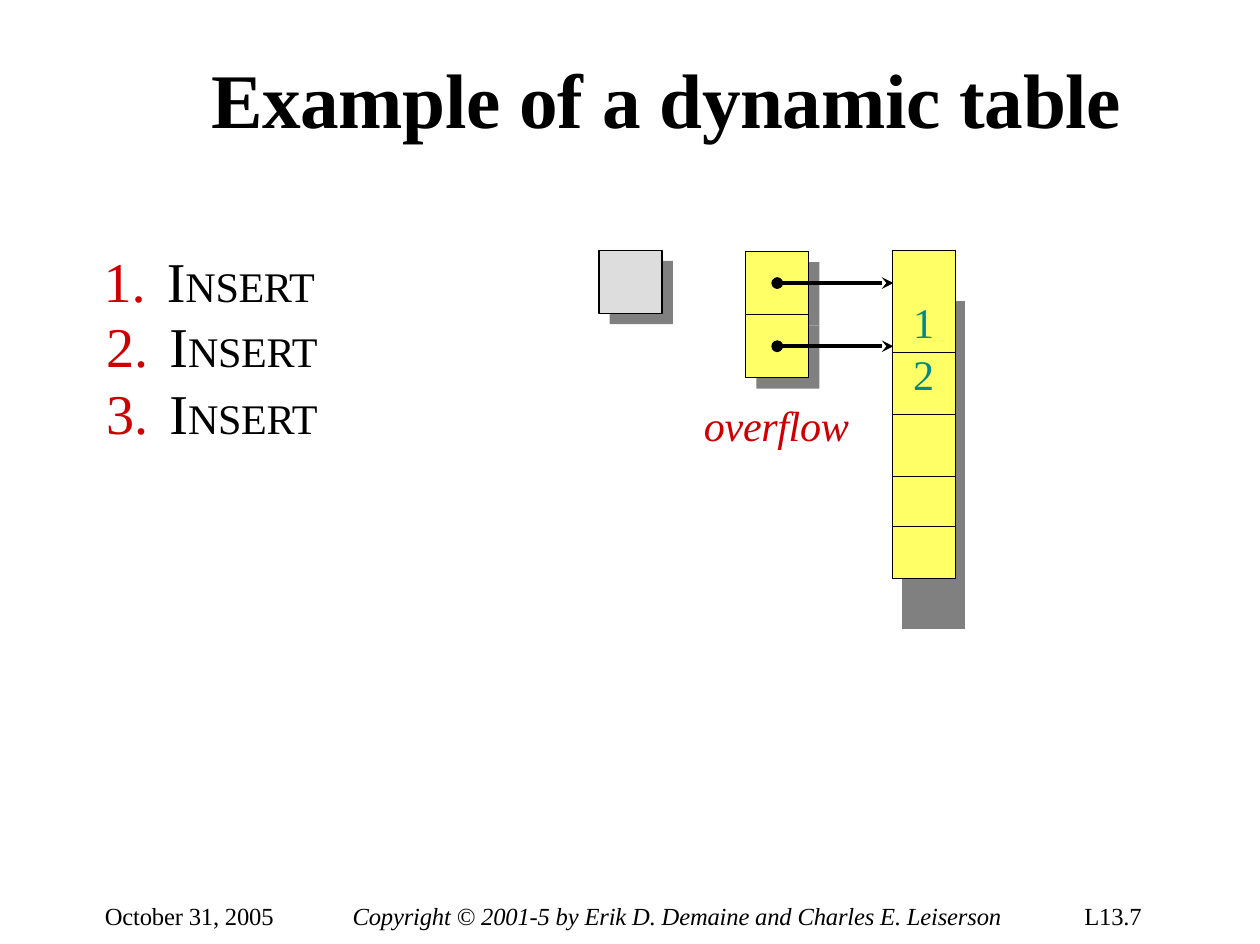
from dataclasses import dataclass

from lxml.etree import SubElement
from pptx import Presentation
from pptx.dml.color import RGBColor as Color
from pptx.enum.shapes import MSO_CONNECTOR as Connector, MSO_SHAPE as Shape
from pptx.oxml.ns import qn
from pptx.util import Inches, Pt


@dataclass(frozen=True)
class Theme:
    font: str = "Times New Roman"
    ink: Color = Color.from_string("000000")
    red: Color = Color.from_string("CC0000")
    teal: Color = Color.from_string("008A87")
    yellow: Color = Color.from_string("FFFF66")
    pale: Color = Color.from_string("DDDDDD")
    shadow: Color = Color.from_string("808080")
    title: int = 44
    capital: int = 32
    body: int = 24
    footer: int = 14
    border: float = 0.75
    arrow: float = 2.25


theme = Theme()


def slots(count):
    """Length of a number of table slots, the half-inch grid of the slide."""
    return Inches(0.5 * count)


def style_run(run, size, color=theme.ink, bold=False, italic=False, spacing=0):
    run.font.name, run.font.size = theme.font, Pt(size)
    run.font.bold, run.font.italic = bold, italic
    run.font.color.rgb = color
    run.font._element.set("spc", str(spacing))


presentation = Presentation()
presentation.slide_width, presentation.slide_height = slots(19.94), slots(14.94)
slide = presentation.slides.add_slide(presentation.slide_layouts[6])

# Single-line texts: title, caption and footer
caption = dict(size=theme.body, color=theme.red, italic=True, spacing=-20)
footer = dict(size=theme.footer, spacing=-10)
footer_top = 14.26
lines = [
    ("Example of a dynamic table", 3.34, 0.82, 14.56, 1.48,
     dict(size=theme.title, bold=True, spacing=-20)),
    ("overflow", 11.14, 6.32, 2.36, 0.82, caption),
    ("October 31, 2005", 1.66, footer_top, 2.74, 0.5, footer),
    ("Copyright © 2001-5 by Erik D. Demaine and Charles E. Leiserson",
     5.58, footer_top, 10.48, 0.5, dict(footer, italic=True)),
    ("L13.7", 17.16, footer_top, 1.18, 0.5, footer),
]
boxes = []
for text, *place, style in lines:
    box = slide.shapes.add_textbox(*map(slots, place))
    box.text_frame.text = text
    style_run(box.text_frame.paragraphs[0].runs[0], **style)
    boxes.append(box)

# Numbered list of operations
operations = slide.shapes.add_textbox(*map(slots, (1.62, 3.92, 3.5, 3.16)))
boxes.append(operations)
for index, (indent, pitch) in enumerate([(1.02, 37.8), (1.06, 37.1), (1.06, 37.8)]):
    frame = operations.text_frame
    paragraph = frame.add_paragraph() if index else frame.paragraphs[0]
    properties = paragraph._p.get_or_add_pPr()
    properties.set("marL", str(slots(indent)))
    properties.set("indent", str(-slots(1)))
    bullet_color = SubElement(properties, qn("a:buClr"))
    SubElement(bullet_color, qn("a:srgbClr"), val=str(theme.red))
    SubElement(properties, qn("a:buAutoNum"), type="arabicPeriod")
    paragraph.line_spacing = Pt(pitch)
    for text, size in [("I", theme.capital), ("NSERT", theme.body)]:
        run = paragraph.add_run()
        run.text = text
        style_run(run, size, spacing=-20)

for box in boxes:
    frame = box.text_frame
    frame.word_wrap = True
    frame.margin_left = frame.margin_right = frame.margin_top = frame.margin_bottom = 0

# Old tables: single slots with an offset shadow
shadow_offset = 0.17
column, first_row = 11.8, 3.98
for left, top, color in [(9.48, 3.96, theme.pale), (column, first_row, theme.yellow),
                         (column, first_row + 1, theme.yellow)]:
    for offset, fill in [(shadow_offset, theme.shadow), (0, color)]:
        square = slide.shapes.add_shape(
            Shape.RECTANGLE, slots(left + offset), slots(top + offset), slots(1), slots(1))
        square.shadow.inherit = False
        square.fill.solid()
        square.fill.fore_color.rgb = fill
        if offset:
            square.line.fill.background()
        else:
            square.line.color.rgb = theme.ink
            square.line.width = Pt(theme.border)

# Arrows that move each item to the new table
for row in range(2):
    middle = slots(first_row + row + 0.5)
    arrow = slide.shapes.add_connector(
        Connector.STRAIGHT, slots(column + 0.5), middle, slots(14.14), middle)
    arrow.line.color.rgb = theme.ink
    arrow.line.width = Pt(theme.arrow)
    line = arrow.line._get_or_add_ln()
    SubElement(line, qn("a:headEnd"), type="oval", w="med", len="med")
    SubElement(line, qn("a:tailEnd"), type="stealth", w="med", len="med")
    SubElement(arrow._element.spPr, qn("a:effectLst"))

# New table: two yellow columns, with the shadow in the last column and row
widths = [0.16, 0.84, 0.16]
heights = [0.8, 0.82, 0.98, 0.98, 0.8, 0.82, 0.8]
items = {1: "1", 2: "2"}
slot_tops, slot_bottoms = {0, 2, 3, 4}, {1, 2, 3, 5}
last_row = len(heights) - 1
graphic = slide.shapes.add_table(
    len(heights), len(widths), slots(14.12), slots(3.96), slots(sum(widths)), slots(sum(heights)))
table = graphic.table
table.first_row = table.horz_banding = False
no_style = "{2D5ABB26-0587-4C30-8999-92F81FD0307C}"
table._tbl.tblPr.find(qn("a:tableStyleId")).text = no_style
for table_column, width in zip(table.columns, widths):
    table_column.width = slots(width)

for row, height in enumerate(heights):
    table.rows[row].height = slots(height)
    for col in range(len(widths)):
        cell = table.cell(row, col)
        cell.margin_left = cell.margin_right = cell.margin_top = cell.margin_bottom = 0
        body = col < 2 and row < last_row
        sides = {
            "lnL": body and col == 0,
            "lnR": body and col == 1,
            "lnT": col < 2 and (row in slot_tops or row == last_row),
            "lnB": body and row in slot_bottoms,
        }
        for side, drawn in sides.items():
            if drawn:
                edge = SubElement(cell._tc.get_or_add_tcPr(), qn(f"a:{side}"),
                                  w=str(Pt(theme.border)))
                paint = SubElement(edge, qn("a:solidFill"))
                SubElement(paint, qn("a:srgbClr"), val=str(theme.ink))
        if (row, col) in [(0, 2), (last_row, 0)]:
            cell.fill.background()
        else:
            cell.fill.solid()
            cell.fill.fore_color.rgb = theme.yellow if body else theme.shadow
        if col == 1 and row in items:
            paragraph = cell.text_frame.paragraphs[0]
            paragraph.text = items[row]
            paragraph._p.get_or_add_pPr().set("marL", str(slots(0.17)))
            style_run(paragraph.runs[0], theme.body, theme.teal)

presentation.save("out.pptx")
